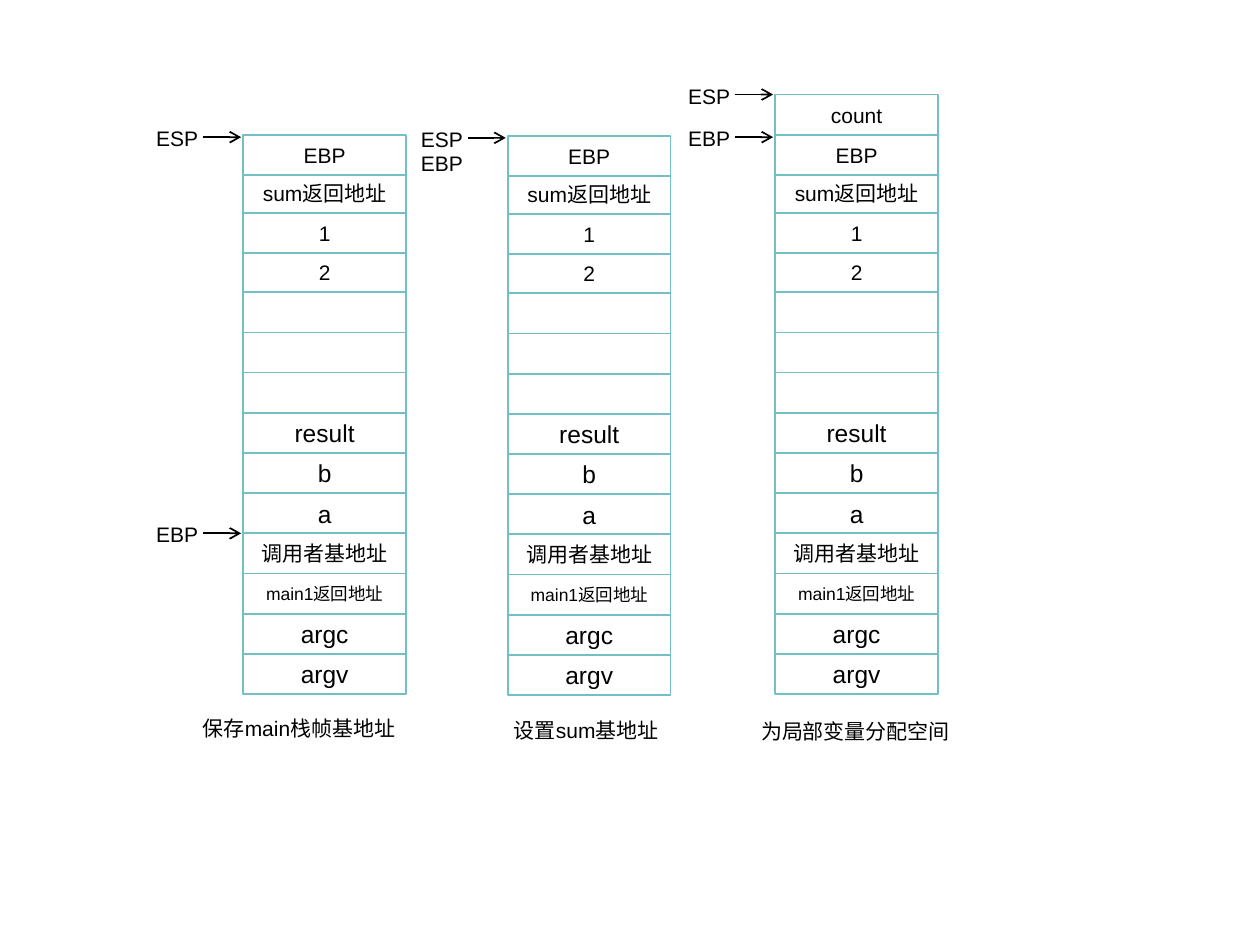
from lxml import etree
from pptx import Presentation
from pptx.dml.color import RGBColor
from pptx.enum.shapes import MSO_CONNECTOR, MSO_SHAPE
from pptx.enum.text import MSO_ANCHOR, PP_ALIGN
from pptx.oxml.ns import qn
from pptx.util import Pt

COLORS = {"ink": "000000", "cell": "FFFFFF", "border": "72BFC5"}
FONT = "Arial"
CELL_WIDTH, CELL_HEIGHT = 93, 23
MAIN_PITCH = 22.96
MAIN_OFFSET = 90

# Slots of the callee's frame with their distance below its top, lowest first
SUM_FRAME = [("2", 67), ("1", 44.6), ("sum返回地址", 21.6), ("EBP", 0)]
MAIN_FRAME = [("", 12), ("", 12), ("", 12), ("result", 14), ("b", 14), ("a", 14),
              ("调用者基地址", 12), ("main1返回地址", 10), ("argc", 14), ("argv", 14)]
CALLER_BASE = MAIN_OFFSET + 6 * MAIN_PITCH

# Pointers: register, distance below the stack top, whether it has an arrow
STACKS = [
    {"left": 139, "top": 77, "locals": [],
     "pointers": [("ESP", 1.4, True), ("EBP", CALLER_BASE, True)],
     "caption": "保存main栈帧基地址", "caption_box": (-30.2, 328.4, 126, 36)},
    {"left": 290.2, "top": 77.6, "locals": [],
     "pointers": [("ESP", 1.2, True), ("EBP", 14.8, False)],
     "caption": "设置sum基地址", "caption_box": (-3.6, 329, 126, 21.6)},
    {"left": 443, "top": 77, "locals": [("count", -CELL_HEIGHT)],
     "pointers": [("ESP", -CELL_HEIGHT, True), ("EBP", 1.4, True)],
     "caption": "为局部变量分配空间", "caption_box": (-15.2, 329.8, 126, 21.6)},
]


def rgb(name):
    return RGBColor.from_string(COLORS[name])


def write(shape, text, size=12, align=PP_ALIGN.LEFT, anchor=MSO_ANCHOR.TOP):
    frame = shape.text_frame
    frame.word_wrap = True
    frame.vertical_anchor = anchor
    paragraph = frame.paragraphs[0]
    paragraph.alignment = align
    run = paragraph.add_run()
    run.text = text
    run.font.name = FONT
    run.font.size = Pt(size)
    run.font.color.rgb = rgb("ink")


def add_label(slide, text, left, top, width, height):
    label = slide.shapes.add_textbox(Pt(left), Pt(top), Pt(width), Pt(height))
    write(label, text)


def add_cell(slide, text, left, top, size=12):
    cell = slide.shapes.add_shape(MSO_SHAPE.RECTANGLE, Pt(left), Pt(top),
                                  Pt(CELL_WIDTH), Pt(CELL_HEIGHT))
    cell.shadow.inherit = False
    cell.fill.solid()
    cell.fill.fore_color.rgb = rgb("cell")
    cell.line.color.rgb = rgb("border")
    cell.line.width = Pt(1)
    if text:
        write(cell, text, size=size, align=PP_ALIGN.CENTER, anchor=MSO_ANCHOR.MIDDLE)


def add_arrow(slide, start, end, y):
    arrow = slide.shapes.add_connector(MSO_CONNECTOR.STRAIGHT,
                                       Pt(start), Pt(y), Pt(end), Pt(y))
    arrow.line.color.rgb = rgb("ink")
    arrow.line.width = Pt(1)
    etree.SubElement(arrow.line._get_or_add_ln(), qn("a:tailEnd"), type="arrow")
    etree.SubElement(arrow._element.spPr, qn("a:effectLst"))


def add_pointer(slide, register, left, y, has_arrow):
    """Place a register label left of the stack edge, level with y."""
    if has_arrow:
        add_arrow(slide, left - 23, left - 1.2, y)
    add_label(slide, register, left - 56.8, y - 10, 40.3, 20.5)


def add_stack(slide, left, top, local_slots, pointers, caption, caption_box):
    for row, (text, size) in enumerate(MAIN_FRAME):
        add_cell(slide, text, left, top + MAIN_OFFSET + row * MAIN_PITCH, size)
    for text, offset in SUM_FRAME + local_slots:
        add_cell(slide, text, left, top + offset)
    for register, offset, has_arrow in pointers:
        add_pointer(slide, register, left, top + offset, has_arrow)
    dx, dy, width, height = caption_box
    add_label(slide, caption, left + dx, top + dy, width, height)


def main():
    presentation = Presentation()
    presentation.slide_width, presentation.slide_height = Pt(720), Pt(540)
    slide = presentation.slides.add_slide(presentation.slide_layouts[6])
    for stack in STACKS:
        add_stack(slide, stack["left"], stack["top"], stack["locals"],
                  stack["pointers"], stack["caption"], stack["caption_box"])
    presentation.save("out.pptx")


if __name__ == "__main__":
    main()
